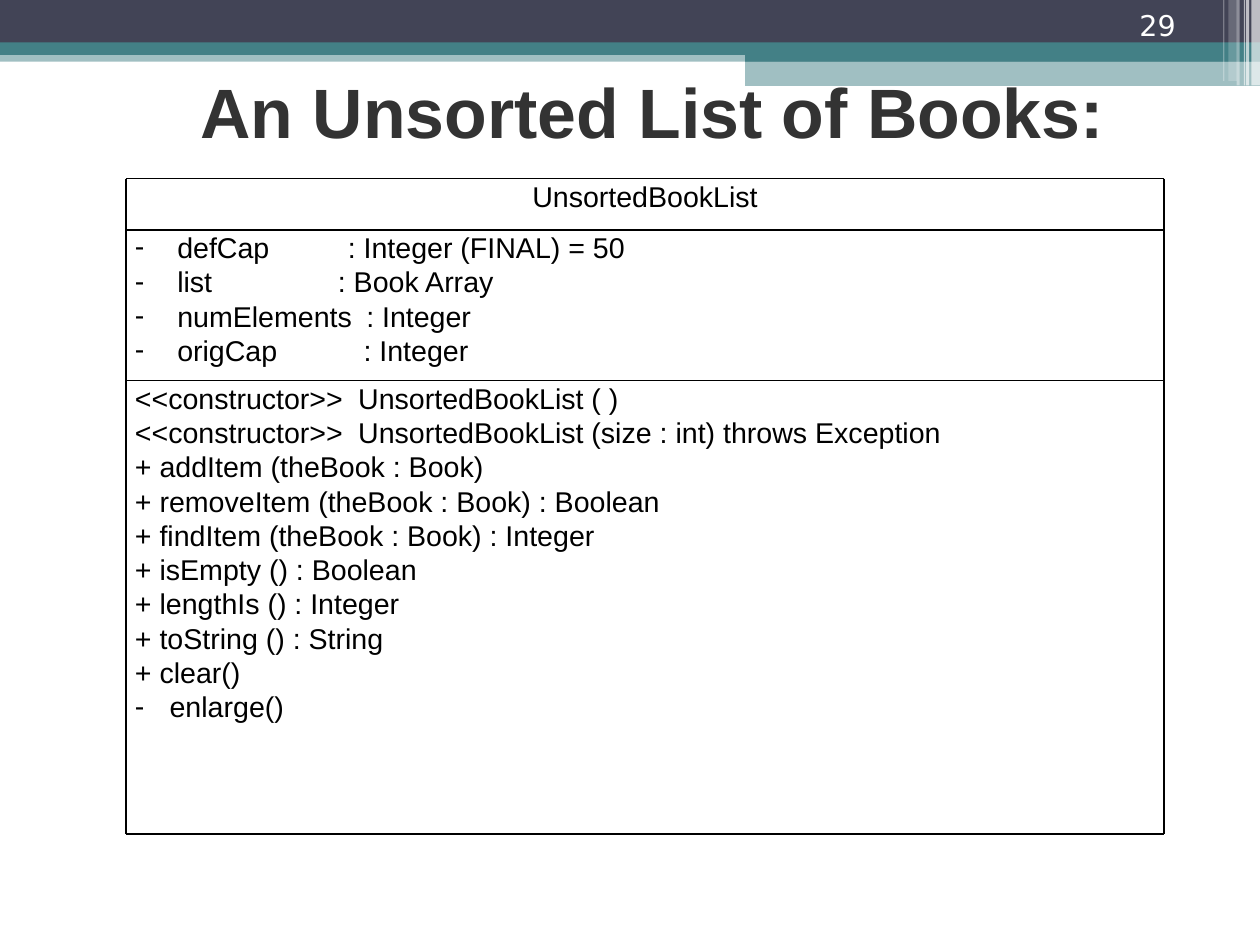
from lxml.etree import SubElement
from pptx import Presentation
from pptx.dml.color import RGBColor
from pptx.enum.shapes import MSO_CONNECTOR as Connector, MSO_SHAPE as Shape
from pptx.enum.text import MSO_ANCHOR as Anchor, PP_ALIGN as Align
from pptx.oxml.ns import qn
from pptx.util import Cm, Pt

SLATE = RGBColor(0x42, 0x44, 0x56)
TEAL = RGBColor(0x43, 0x80, 0x86)
WHITE = RGBColor(0xFF, 0xFF, 0xFF)
BLACK = RGBColor(0x00, 0x00, 0x00)
CHARCOAL = RGBColor(0x33, 0x33, 0x33)

BODY = {"size": Pt(18), "name": "Arial"}
TITLE = {"size": Pt(44), "name": "Arial", "bold": True}
PAGE_NUMBER = {"size": Pt(18), "name": "DejaVu Sans"}


def add_text(bounds, rows, style, color=BLACK, align=Align.LEFT,
             anchor=Anchor.TOP, insets=(0.2, 0)):
    frame = slide.shapes.add_textbox(*map(Cm, bounds)).text_frame
    frame.word_wrap = True
    frame.vertical_anchor = anchor
    frame.margin_left = frame.margin_right = Cm(insets[0])
    frame.margin_top = frame.margin_bottom = Cm(insets[1])
    for index, (text, dash_indent, tab_stop) in enumerate(rows):
        paragraph = frame.paragraphs[0] if index == 0 else frame.add_paragraph()
        paragraph.alignment = align
        properties = paragraph._p.get_or_add_pPr()
        if dash_indent:
            properties.set("marL", str(Cm(dash_indent)))
            properties.set("indent", str(-Cm(dash_indent)))
            SubElement(properties, qn("a:buFont"), typeface="Arial")
            SubElement(properties, qn("a:buChar"), char="-")
        if tab_stop:
            tabs = SubElement(properties, qn("a:tabLst"))
            SubElement(tabs, qn("a:tab"), pos=str(Cm(tab_stop)), algn="l")
        run = paragraph.add_run()
        run.text = text
        run.font.color.rgb = color
        for attribute, value in style.items():
            setattr(run.font, attribute, value)


deck = Presentation()
deck.slide_width, deck.slide_height = Cm(28), Cm(21)
slide = deck.slides.add_slide(deck.slide_layouts[6])

header_bars = [
    (0, 1.12, 28, 0.25, TEAL, 50),
    (0, 0, 28, 0.96, SLATE, 100),
    (0, 0.94, 28, 0.28, TEAL, 100),
    (16.56, 1.09, 11.44, 0.28, TEAL, 100),
    (16.56, 1.36, 11.44, 0.55, TEAL, 50),
    (27.81, 0, 0.19, 1.9, WHITE, 65),
    (27.69, 0, 0.07, 1.9, WHITE, 65),
    (27.64, 0, 0.03, 1.9, WHITE, 60),
    (27.48, 0, 0.07, 1.9, WHITE, 40),
    (27.3, 0, 0.19, 1.8, WHITE, 20),
    (27.18, 0, 0.03, 1.8, WHITE, 30),
]
for *bounds, color, opacity in header_bars:
    bar = slide.shapes.add_shape(Shape.RECTANGLE, *map(Cm, bounds))
    bar.shadow.inherit = False
    bar.line.fill.background()
    bar.fill.solid()
    bar.fill.fore_color.rgb = color
    if opacity < 100:
        tint = bar._element.spPr.find(qn("a:solidFill"))[0]
        SubElement(tint, qn("a:alpha"), val=str(opacity * 1000))

add_text((2.57, 0.94, 23.88, 2.57), [("An Unsorted List of Books:", 0, 0)], TITLE,
         CHARCOAL, Align.CENTER, Anchor.BOTTOM, (0.25, 0.13))

left, right = 2.8, 25.87
top, attributes_top, methods_top, bottom = 3.97, 5.11, 8.46, 18.53
width = right - left

attributes = [
    ("defCap\t: Integer (FINAL) = 50", 0.94, 4.73),
    ("list\t: Book Array", 0.94, 4.51),
    ("numElements\t: Integer", 0.94, 5.14),
    ("origCap\t: Integer", 0.94, 5.08),
]
constructors = [
    "<<constructor>>\tUnsortedBookList ( )",
    "<<constructor>>\tUnsortedBookList (size : int) throws Exception",
]
public_methods = [
    "+ addItem (theBook : Book)",
    "+ removeItem (theBook : Book) : Boolean",
    "+ findItem (theBook : Book) : Integer",
    "+ isEmpty () : Boolean",
    "+ lengthIs () : Integer",
    "+ toString () : String",
    "+ clear()",
]
methods = [(text, 0, 4.96) for text in constructors]
methods += [(text, 0, 0) for text in public_methods]
methods.append(("enlarge()", 0.77, 0))

add_text((left, top, width, attributes_top - top),
         [("UnsortedBookList", 0, 0)], BODY, align=Align.CENTER)
add_text((left, attributes_top, width, methods_top - attributes_top), attributes, BODY)
add_text((left, methods_top, width, bottom - methods_top), methods, BODY)

rules = [(left, y, right, y) for y in (top, attributes_top, methods_top, bottom)]
rules += [(x, top, x, bottom) for x in (left, right)]
for ends in rules:
    rule = slide.shapes.add_connector(Connector.STRAIGHT, *map(Cm, ends))
    rule.line.color.rgb = BLACK
    rule.line.width = Pt(1)
    SubElement(rule._element.spPr, qn("a:effectLst"))

add_text((25.04, 0, 2.31, 1.09), [("29", 0, 0)], PAGE_NUMBER, WHITE,
         anchor=Anchor.BOTTOM, insets=(0.28, 0.15))

deck.save("out.pptx")
